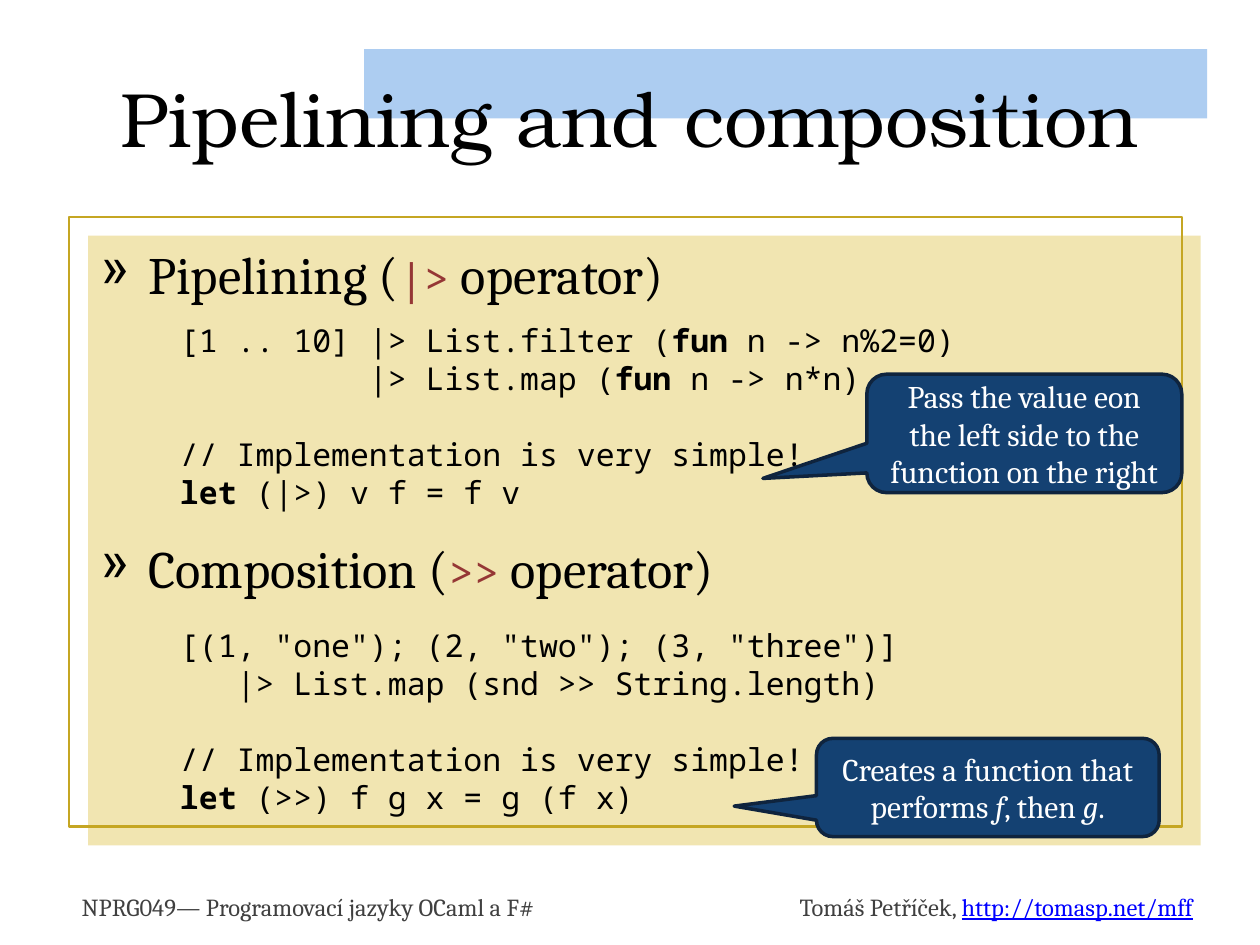
from dataclasses import dataclass

from lxml.etree import SubElement
from pptx import Presentation
from pptx.dml.color import RGBColor
from pptx.enum.shapes import MSO_SHAPE
from pptx.enum.text import MSO_ANCHOR, PP_ALIGN
from pptx.oxml.ns import qn
from pptx.util import Inches, Pt

COLUMNS, ROWS = 100, 75
CELL = Inches(10) // COLUMNS


@dataclass(frozen=True)
class Theme:
    serif: str = "Cambria"
    mono: str = "Noto Sans Mono"
    display: str = "TeX Gyre Bonum"
    ink: str = "000000"
    footer: str = "404040"
    link: str = "0000FF"
    operator: str = "953735"
    band: str = "ADCDF1"
    panel: str = "F1E5B1"
    frame: str = "C5A623"
    callout: str = "144172"
    callout_line: str = "0F243E"
    callout_text: str = "FFFFFF"
    title_size: int = 44
    heading_size: int = 30
    operator_size: int = 24
    code_size: int = 18
    callout_size: int = 18
    footer_size: int = 14
    code_line: float = 21.7
    code_char: float = 10.8
    heading_gap: int = 132


T = Theme()


def grid(*cells):
    return [round(c * CELL) for c in cells]


def style(r, font, size, color, **flags):
    r.font.name = font
    r.font.size = Pt(size)
    r.font.color.rgb = RGBColor.from_string(color)
    for flag, value in flags.items():
        setattr(r.font, flag, value)


def add_run(p, text, font, size, color, **flags):
    r = p.add_run()
    r.text = text
    style(r, font, size, color, **flags)


def paragraph(tf, index):
    return tf.add_paragraph() if index else tf.paragraphs[0]


def add_text(s, cells):
    tf = s.shapes.add_textbox(*grid(*cells)).text_frame
    tf.word_wrap = True
    return tf


def add_box(s, kind, cells, fill=None, line=None, width=1):
    sp = s.shapes.add_shape(kind, *grid(*cells))
    sp.shadow.inherit = False
    if fill:
        sp.fill.solid()
        sp.fill.fore_color.rgb = RGBColor.from_string(fill)
    else:
        sp.fill.background()
    if line:
        sp.line.color.rgb = RGBColor.from_string(line)
        sp.line.width = Pt(width)
    else:
        sp.line.fill.background()
    return sp


def add_title(s, text, cells):
    sp = s.shapes.title
    s.shapes._spTree.append(sp._element)
    sp.left, sp.top, sp.width, sp.height = grid(*cells)
    tf = sp.text_frame
    tf.text = text
    tf.vertical_anchor = MSO_ANCHOR.MIDDLE
    p = tf.paragraphs[0]
    p.alignment = PP_ALIGN.CENTER
    style(p.runs[0], T.display, T.title_size, T.ink)


def add_headings(s, cells, headings):
    tf = add_text(s, cells)
    for i, (name, operator) in enumerate(headings):
        p = paragraph(tf, i)
        p.space_before = Pt(T.heading_gap if i else 0)
        pPr = p._p.get_or_add_pPr()
        indent = grid(3.8)[0]
        pPr.set("marL", str(indent))
        pPr.set("indent", str(-indent))
        SubElement(pPr, qn("a:buChar")).set("char", "»")
        add_run(p, f"{name} (", T.serif, T.heading_size, T.ink)
        add_run(p, operator, T.mono, T.operator_size, T.operator)
        add_run(p, " operator)", T.serif, T.heading_size, T.ink)


def add_code(s, cells, lines):
    tf = add_text(s, cells)
    for i, (indent, parts) in enumerate(lines):
        p = paragraph(tf, i)
        p._p.get_or_add_pPr().set("marL", str(Pt(indent * T.code_char)))
        if parts[0].startswith("//"):
            p.space_before = Pt(T.code_line)
        for part in parts:
            add_run(p, part, T.mono, T.code_size, T.ink,
                    bold=part.strip() in ("fun", "let"))


def add_callout(s, cells, tail, parts):
    sp = add_box(s, MSO_SHAPE.ROUNDED_RECTANGULAR_CALLOUT, cells,
                 T.callout, T.callout_line, 2)
    sp.adjustments[0], sp.adjustments[1] = tail
    tf = sp.text_frame
    tf.word_wrap = True
    tf.vertical_anchor = MSO_ANCHOR.MIDDLE
    p = tf.paragraphs[0]
    p.alignment = PP_ALIGN.CENTER
    for part in parts:
        add_run(p, part, T.serif, T.callout_size, T.callout_text,
                italic=part in ("f", "g"))


def add_footer(s, course, author, address):
    width, height, top = 44.5, 3.4, 70.3
    p = add_text(s, (5.5, top, width, height)).paragraphs[0]
    add_run(p, course, T.serif, T.footer_size, T.footer)
    p = add_text(s, (51.6, top, width, height)).paragraphs[0]
    p.alignment = PP_ALIGN.RIGHT
    add_run(p, author, T.serif, T.footer_size, T.footer)
    add_run(p, address, T.serif, T.footer_size, T.link, underline=True)
    add_run(p, " ", T.serif, T.footer_size, T.ink)


def main():
    prs = Presentation()
    prs.slide_width, prs.slide_height = grid(COLUMNS, ROWS)
    s = prs.slides.add_slide(prs.slide_layouts[5])

    add_box(s, MSO_SHAPE.RECTANGLE, (28.9, 3.9, 66.9, 5.5), T.band)
    add_box(s, MSO_SHAPE.RECTANGLE, (7, 18.7, 88.3, 48.4), T.panel)
    add_box(s, MSO_SHAPE.RECTANGLE, (5.5, 17.2, 88.3, 48.4),
            line=T.frame, width=1.25)
    add_footer(s, "NPRG049— Programovací jazyky OCaml a F#",
               "Tomáš Petříček, ", "http://tomasp.net/mff")
    add_headings(s, (7, 18.7, 88, 48.2),
                 [("Pipelining", "|>"), ("Composition", ">>")])
    add_title(s, "Pipelining and composition", (5, 3, 90, 12.5))

    comment = (0, ["// Implementation is very simple!"])
    add_code(s, (13.3, 25, 78.1, 16.2), [
        (0, ["[1 .. 10] |> List.filter (", "fun", " n -> n%2=0)"]),
        (10, ["|> List.map (", "fun", " n -> n*n)"]),
        comment,
        (0, ["let ", "(|>) v f = f v"]),
    ])
    add_code(s, (13.3, 49.2, 78.1, 16.2), [
        (0, ['[(1, "one"); (2, "two"); (3, "three")]']),
        (3, ["|> List.map (snd >> String.length)"]),
        comment,
        (0, ["let ", "(>>) f g x = g (f x)"]),
    ])
    add_callout(s, (68.8, 29.7, 25, 9.4), (-0.83, 0.38),
                ["Pass the value eon the left side to the function on the right"])
    add_callout(s, (64.8, 58.6, 27.2, 7.8), (-0.74, 0.19),
                ["Creates a function that performs ", "f", ", then ", "g", "."])
    prs.save("out.pptx")


if __name__ == "__main__":
    main()
